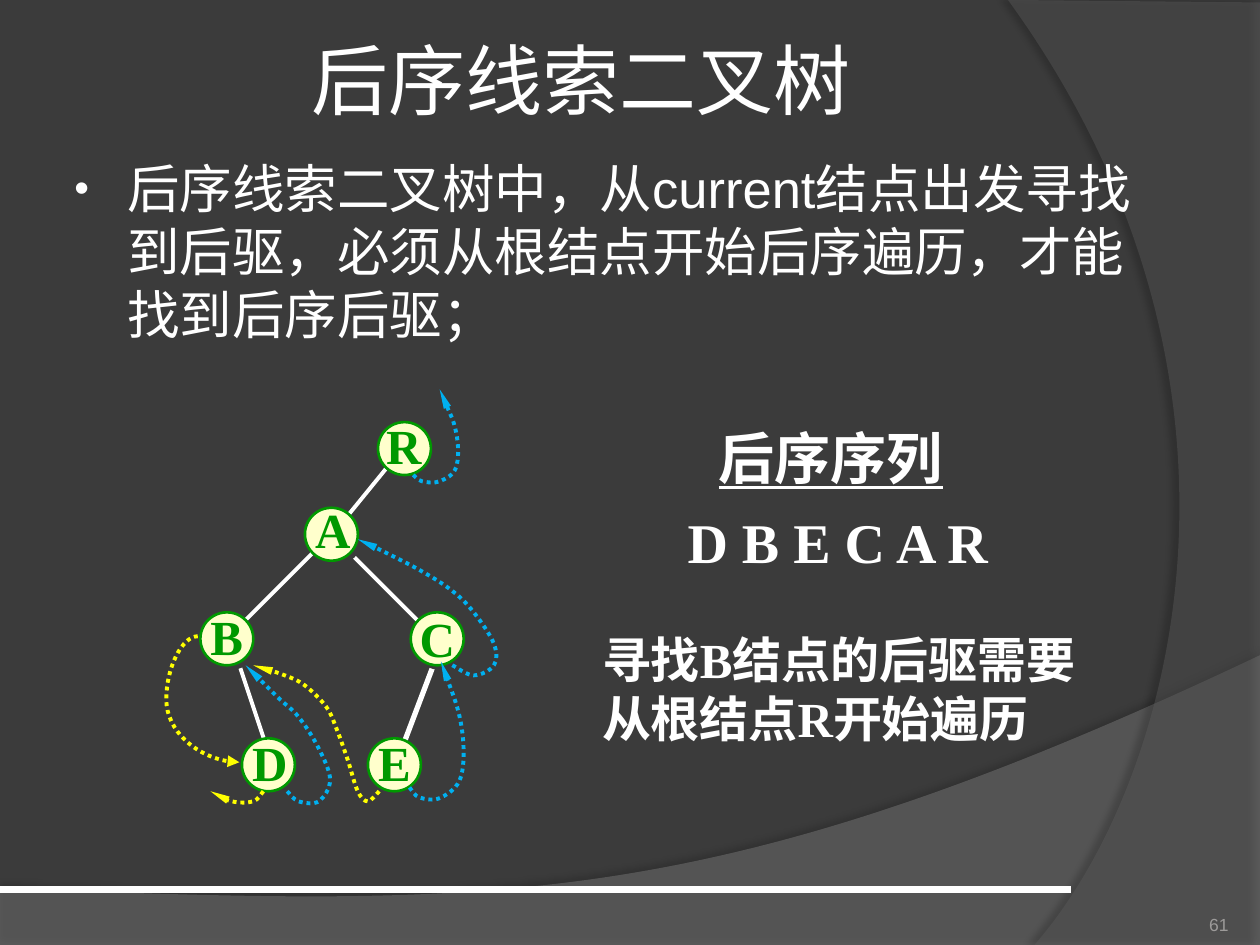
"""Slide on the post-order threaded binary tree, with its tree, threads and sequence."""
from dataclasses import dataclass

from lxml import etree
from pptx import Presentation
from pptx.dml.color import RGBColor
from pptx.enum.dml import MSO_LINE
from pptx.enum.shapes import MSO_CONNECTOR, MSO_SHAPE
from pptx.enum.text import MSO_ANCHOR, PP_ALIGN
from pptx.oxml.ns import qn
from pptx.util import Emu, Pt

PX = 9144
STRAIGHT, CURVE = MSO_CONNECTOR.STRAIGHT, MSO_CONNECTOR.CURVE
OVAL, DOTTED = MSO_SHAPE.OVAL, MSO_LINE.ROUND_DOT
LEFT, CENTER, RIGHT = PP_ALIGN.LEFT, PP_ALIGN.CENTER, PP_ALIGN.RIGHT
MIDDLE, BOTTOM = MSO_ANCHOR.MIDDLE, MSO_ANCHOR.BOTTOM
Point = tuple[float, float]
Segment = list[Point]


@dataclass(frozen=True)
class Theme:
    back: str = "3B3B3B"
    wave: str = "7F7F7F"
    arc: str = "5E5E5E"
    shade: str = "000000"
    text: str = "FFFFFF"
    number: str = "9D9B9A"
    node: str = "FFFFCC"
    node_edge: str = "009900"
    successor: str = "00B0F0"
    predecessor: str = "FFFF00"
    sans: str = "Arial"
    serif: str = "Times New Roman"
    cjk: str = "Noto Sans CJK JP"
    title_pt: int = 44
    heading_pt: int = 32
    body_pt: int = 30
    label_pt: int = 28
    number_pt: int = 10


@dataclass(frozen=True)
class Node:
    name: str
    x: int
    y: int
    label_x: int
    label_y: int
    label_w: int


@dataclass(frozen=True)
class Edge:
    start: Point
    end: Point
    width: float = 2.25


@dataclass(frozen=True)
class Thread:
    color: str
    knots: list[Point]


@dataclass(frozen=True)
class Shadow:
    color: str
    alpha: int
    blur: float
    distance: float
    angle: int


@dataclass(frozen=True)
class Backdrop:
    color: str
    alpha: int
    start: Point
    segments: list[Segment]
    shadow: Shadow


T = Theme()
NODE_SIZE, LABEL_H = 42, 57
NODE_SHADOW = Shadow(T.back, 100, 0, 2.8, 45)
NODES = [Node("R", 300, 335, 296, 325, 49), Node("A", 242, 403, 240, 391, 48),
         Node("B", 159, 486, 157, 476, 46), Node("C", 326, 486, 323, 478, 48),
         Node("D", 192, 586, 190, 576, 48), Node("E", 292, 586, 290, 576, 46)]
EDGES = [Edge((317, 359), (264, 424)), Edge((344, 528), (319, 594), 3),
         Edge((187, 519), (212, 594)), Edge((267, 428), (342, 503)),
         Edge((251, 436), (184, 503))]
THREADS = [
    Thread(T.successor, [(328, 377), (335, 382), (349, 382), (362, 371), (362, 343),
                         (349, 309)]),
    Thread(T.predecessor, [(209, 628), (201, 636), (184, 636), (167, 628)]),
    Thread(T.successor, [(228, 628), (237, 636), (253, 636), (262, 619), (253, 594),
                         (237, 569), (220, 553), (195, 528)]),
    Thread(T.predecessor, [(301, 628), (292, 636), (284, 628), (276, 603), (267, 578),
                           (259, 561), (242, 544), (226, 536), (201, 528)]),
    Thread(T.successor, [(359, 528), (376, 536), (392, 528), (392, 511), (376, 486),
                         (359, 469), (334, 453), (301, 436), (284, 428)]),
    Thread(T.successor, [(325, 625), (333, 633), (350, 633), (366, 616), (366, 575),
                         (350, 525)]),
]
BACKDROPS = [
    Backdrop(T.wave, 45, (0, 705),
             [[(0, 751)], [(1000, 751)], [(1000, 520)], [(559, 729), (391, 719), (0, 705)]],
             Shadow(T.shade, 35, 4, 3.5, 270)),
    Backdrop(T.arc, 40, (1000, 2),
             [[(1000, 750)], [(821, 750)], [(935, 619), (1018, 300), (800, 0)], [(1000, 2)]],
             Shadow(T.shade, 45, 4, 4, 180)),
]


def rgb(color: str) -> RGBColor:
    return RGBColor.from_string(color)


def child(parent, tag: str, **attrs):
    return etree.SubElement(parent, qn(tag), attrs)


def smooth(knots: list[Point]) -> list[Segment]:
    """Return cubic segments that run smoothly through all the knots."""
    ends = [knots[0], *knots, knots[-1]]
    return [[tuple(p + (n - m) / 6 for p, m, n in zip(a, before, d)),
             tuple(p - (n - m) / 6 for p, m, n in zip(d, a, after)), d]
            for before, a, d, after in zip(ends, ends[1:], ends[2:], ends[3:])]


def add_path(s, start: Point, segments: list[Segment], close: bool):
    """Draw an outline of one-point straight and three-point cubic segments."""
    builder = s.shapes.build_freeform(*start, scale=PX)
    builder.add_line_segments([seg[-1] for seg in segments], close=close)
    sp = builder.convert_to_shape()
    sp.shadow.inherit = False
    path = sp.element.find(".//" + qn("a:path"))
    path.set("w", str(sp.width))
    path.set("h", str(sp.height))
    steps = [e for e in path if e.tag != qn("a:close")]
    for old, seg in zip(steps, [[start], *segments]):
        tag = "a:cubicBezTo" if len(seg) == 3 else old.tag
        new = etree.Element(qn(tag) if tag == "a:cubicBezTo" else tag)
        for x, y in seg:
            child(new, "a:pt", x=str(round(x * PX) - sp.left), y=str(round(y * PX) - sp.top))
        path.replace(old, new)
    return sp


def add_shadow(sp, shadow: Shadow) -> None:
    sp.shadow.inherit = False
    outer = child(sp.element.spPr.find(qn("a:effectLst")), "a:outerShdw",
                  blurRad=str(Pt(shadow.blur)), dist=str(Pt(shadow.distance)),
                  dir=str(shadow.angle * 60000), algn="ctr", rotWithShape="0")
    child(child(outer, "a:srgbClr", val=shadow.color), "a:alpha",
          val=str(shadow.alpha * 1000))


def fill(sp, color: str) -> None:
    sp.fill.solid()
    sp.fill.fore_color.rgb = rgb(color)


def add_backdrop(s, item: Backdrop, depth: int) -> None:
    sp = add_path(s, item.start, item.segments, True)
    sp.line.fill.background()
    fill(sp, item.color)
    child(sp.element.spPr.find(".//" + qn("a:srgbClr")), "a:alpha",
          val=str(item.alpha * 1000))
    add_shadow(sp, item.shadow)
    s.shapes.element.insert(2 + depth, sp.element)


def style_line(line, color: str, width: float) -> None:
    line.color.rgb = rgb(color)
    line.width = Pt(width)


def add_arrow(line, color: str, **head: str) -> None:
    style_line(line, color, 2.25)
    line.dash_style = DOTTED
    child(line.fill._xPr, "a:tailEnd", type="triangle", **head)


def add_line(s, edge: Edge, kind=STRAIGHT):
    cxn = s.shapes.add_connector(kind, *(Emu(v * PX) for v in (*edge.start, *edge.end)))
    child(cxn.element.spPr, "a:effectLst")
    style_line(cxn.line, T.text, edge.width)
    return cxn


def add_thread(s, thread: Thread) -> None:
    sp = add_path(s, thread.knots[0], smooth(thread.knots), False)
    sp.fill.background()
    add_arrow(sp.line, thread.color, w="sm", len="lg")


def set_text(p, text: str, size: int, font: str, color: str = T.text,
             bold: bool = False, align=LEFT) -> None:
    p.text = text
    p.alignment = align
    f = p.font
    f.size, f.name, f.bold = Pt(size), font, bold
    f.color.rgb = rgb(color)


def place(sp, x: int, y: int, w: int, h: int) -> None:
    sp.left, sp.top, sp.width, sp.height = (Emu(v * PX) for v in (x, y, w, h))


def set_frame(tf, inset: int, anchor) -> None:
    tf.margin_left = tf.margin_right = tf.margin_top = tf.margin_bottom = Emu(inset * PX)
    tf.vertical_anchor = anchor


def add_box(s, x: int, y: int, w: int, h: int, wrap: bool = True):
    tf = s.shapes.add_textbox(*(Emu(v * PX) for v in (x, y, w, h))).text_frame
    tf.word_wrap = wrap
    return tf


def add_node(s, node: Node) -> None:
    sp = s.shapes.add_shape(OVAL, *(Emu(v * PX) for v in (node.x, node.y, NODE_SIZE, NODE_SIZE)))
    fill(sp, T.node)
    style_line(sp.line, T.node_edge, 1.5)
    add_shadow(sp, NODE_SHADOW)


def add_label(s, node: Node) -> None:
    tf = add_box(s, node.label_x, node.label_y, node.label_w, LABEL_H, False)
    tf.vertical_anchor = MIDDLE
    set_text(tf.paragraphs[0], node.name, T.label_pt, T.serif, T.node_edge, True, CENTER)


def add_texts(s) -> None:
    title, body = s.shapes.title, s.placeholders[1]
    place(title, 53, 0, 817, 125)
    set_frame(title.text_frame, 5, MIDDLE)
    set_text(title.text_frame.paragraphs[0], "后序线索二叉树", T.title_pt, T.cjk, align=CENTER)
    place(body, 45, 119, 877, 559)
    p = body.text_frame.paragraphs[0]
    pPr = p._p.get_or_add_pPr()
    pPr.set("marL", str(46 * PX))
    pPr.set("indent", str(-42 * PX))
    p.space_before = Pt(0)
    child(child(pPr, "a:buClr"), "a:srgbClr", val=T.text)
    child(pPr, "a:buSzPct", val="80000")
    child(pPr, "a:buChar", char="•")
    set_text(p, "后序线索二叉树中，从current结点出发寻找到后驱，必须从根结点开始后序遍历，才能找到后序后驱；",
             T.body_pt, T.sans)
    tf = add_box(s, 508, 331, 303, 131)
    set_text(tf.paragraphs[0], "后序序列", T.heading_pt, T.sans, bold=True, align=CENTER)
    tf.paragraphs[0].font.underline = True
    p = tf.add_paragraph()
    p.space_before = Pt(10)
    set_text(p, " D B E C A R", T.heading_pt, T.serif, bold=True, align=CENTER)
    set_text(add_box(s, 468, 495, 407, 104).paragraphs[0],
             "寻找B结点的后驱需要从根结点R开始遍历", T.label_pt, T.serif, bold=True)
    tf = add_box(s, 892, 702, 83, 40)
    set_frame(tf, 0, BOTTOM)
    set_text(tf.paragraphs[0], "61", T.number_pt, T.sans, T.number, align=RIGHT)


def main() -> None:
    prs = Presentation()
    prs.slide_width, prs.slide_height = Emu(1000 * PX), Emu(750 * PX)
    s = prs.slides.add_slide(prs.slide_layouts[1])
    fill(s.background, T.back)
    for depth, item in enumerate(BACKDROPS):
        add_backdrop(s, item, depth)
    add_line(s, Edge((0, 706), (850, 706), 4.5))
    add_texts(s)
    for draw, items in ((add_line, EDGES), (add_node, NODES), (add_thread, THREADS),
                        (add_label, NODES)):
        for item in items:
            draw(s, item)
    cxn = add_line(s, Edge((157, 505), (190, 605)), CURVE)
    child(cxn.element.spPr.find(".//" + qn("a:avLst")), "a:gd",
          name="adj1", fmla="val -75800")
    add_arrow(cxn.line, T.predecessor)
    prs.save("out.pptx")


if __name__ == "__main__":
    main()
